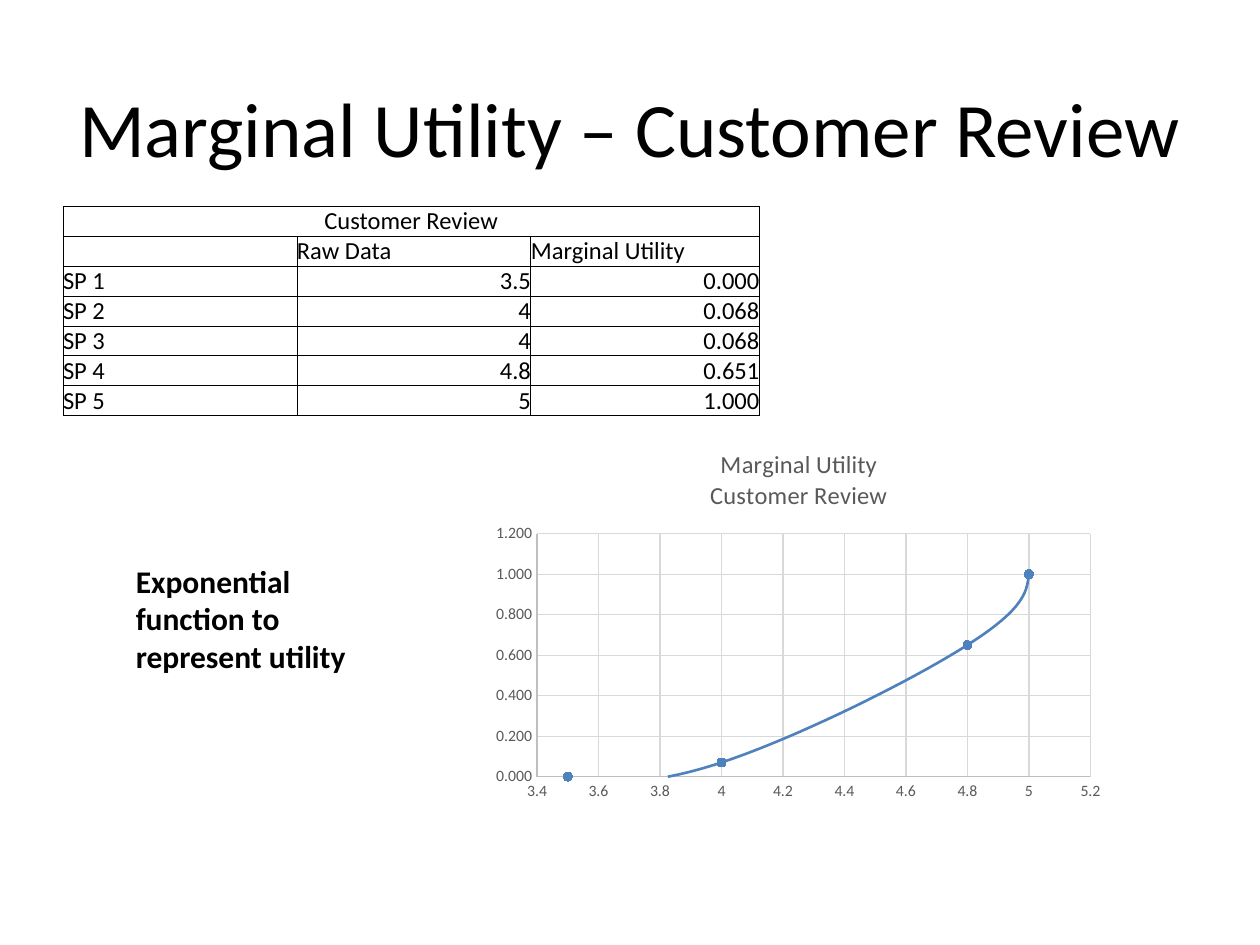
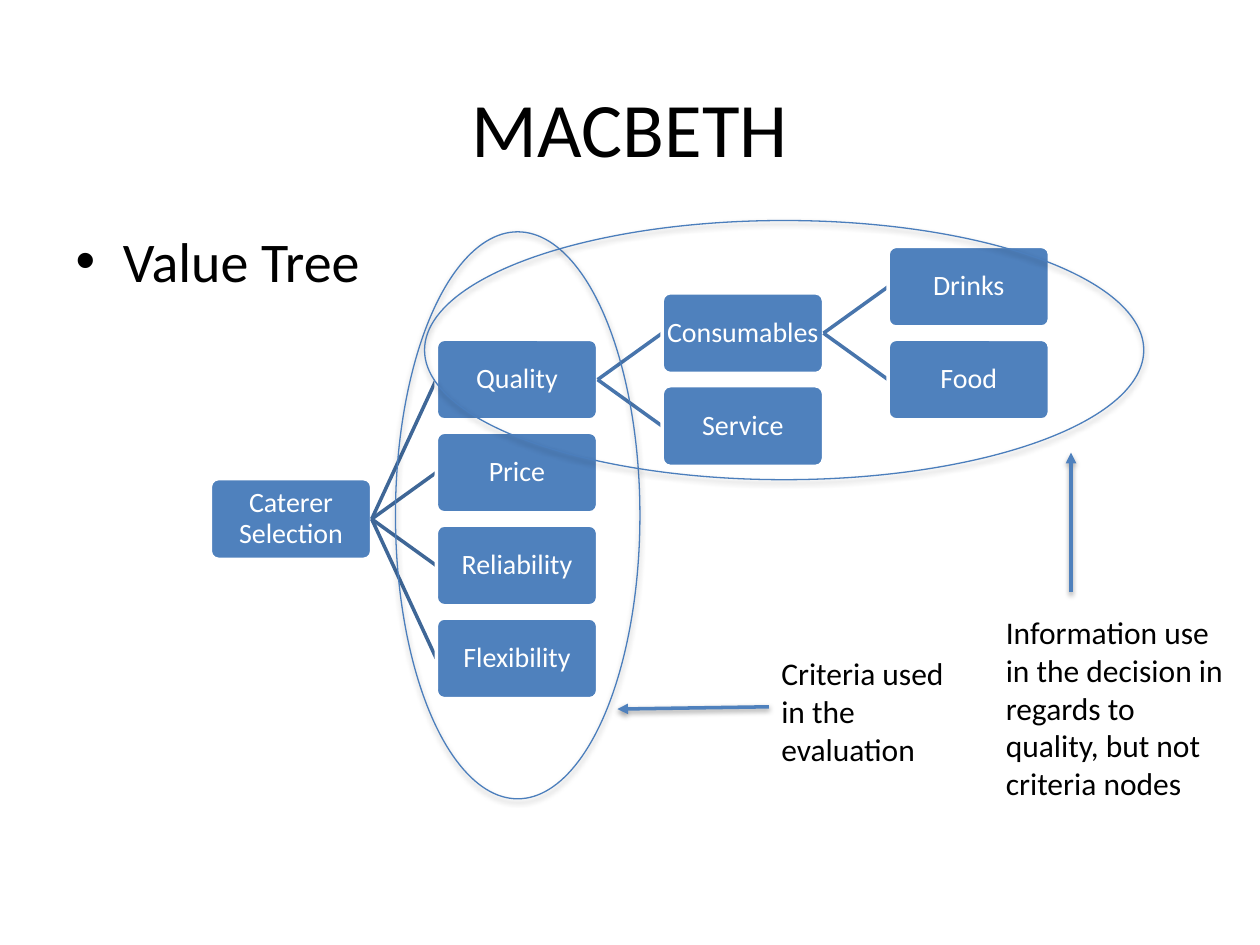
import pptx
import pptx.chart.data
import pptx.dml.color
import pptx.enum.chart
import pptx.enum.shapes
import pptx.enum.text
import pptx.oxml
import pptx.oxml.ns
import pptx.util
from lxml import etree

Pt = pptx.util.Pt
qn = pptx.oxml.ns.qn
ALIGN = pptx.enum.text.PP_ALIGN
ANCHOR = pptx.enum.text.MSO_ANCHOR
SHAPE = pptx.enum.shapes.MSO_SHAPE

FONT = "Calibri"
BLACK, WHITE, BLUE = "000000", "FFFFFF", "4F81BD"
RING_BLUE, ROOT_LINK, LINK = "4B7EBC", "3F6797", "4875AC"
GREY, AXIS_GREY, GRID_GREY = "595959", "BFBFBF", "D9D9D9"


def rgb(hex_color):
    return pptx.dml.color.RGBColor.from_string(hex_color)


def style_font(font, size, color=BLACK, bold=False):
    font.name, font.size, font.bold = FONT, Pt(size), bold
    font.color.rgb = rgb(color)


def style_line(line, color, width):
    line.color.rgb = rgb(color)
    line.width = Pt(width)


def write(frame, text, size=18, color=BLACK, bold=False, align=None,
          anchor=None, inset=None, spacing=None):
    """Fill a text frame, one paragraph for each line of text."""
    if anchor is not None:
        frame.vertical_anchor = anchor
    if inset is not None:
        frame.margin_left = frame.margin_right = Pt(inset)
        frame.margin_top = frame.margin_bottom = Pt(inset)
    for number, words in enumerate(text.split("\n")):
        paragraph = frame.add_paragraph() if number else frame.paragraphs[0]
        paragraph.alignment = align
        paragraph.line_spacing = spacing
        run = paragraph.add_run()
        run.text = words
        style_font(run.font, size, color, bold)


def set_effects(shape, opacity=None, distance=0):
    """Give a shape an empty effect list, or a soft shadow below it."""
    effects = etree.SubElement(shape._element.spPr, qn("a:effectLst"))
    if opacity:
        shadow = etree.SubElement(
            effects, qn("a:outerShdw"), blurRad=str(Pt(3.1)),
            dist=str(Pt(distance)), dir="5400000", rotWithShape="0")
        tint = etree.SubElement(shadow, qn("a:srgbClr"), val=BLACK)
        etree.SubElement(tint, qn("a:alpha"), val=str(opacity * 1000))


def set_borders(cell, color, width):
    properties = cell._tc.get_or_add_tcPr()
    for side in ("a:lnL", "a:lnR", "a:lnT", "a:lnB"):
        border = etree.SubElement(properties, qn(side), w=str(Pt(width)))
        fill = etree.SubElement(border, qn("a:solidFill"))
        etree.SubElement(fill, qn("a:srgbClr"), val=color)


def set_plot_area(chart, **fractions):
    """Place the inner plot area by fractions (x, y, w, h) of the chart."""
    plot_area = chart._chartSpace.chart.plotArea
    for old in plot_area.findall(qn("c:layout")):
        plot_area.remove(old)
    layout = etree.Element(qn("c:layout"))
    plot_area.insert(0, layout)
    manual = etree.SubElement(layout, qn("c:manualLayout"))
    settings = {"layoutTarget": "inner", "xMode": "edge", "yMode": "edge"}
    for name, value in {**settings, **fractions}.items():
        etree.SubElement(manual, qn("c:" + name), val=str(value))


class Deck:
    NODE_WIDTH, NODE_HEIGHT = 92.2, 46.1
    LEVEL_STEP, ROW_STEP = 129.1, 53.1
    ROOT_LEFT, ROOT_MIDDLE = 120.2, 296.6

    def __init__(self):
        self.presentation = pptx.Presentation()
        self.presentation.slide_width = Pt(720)
        self.presentation.slide_height = Pt(540)
        self.slide = None

    def new_slide(self, title, layout):
        layouts = self.presentation.slide_layouts
        self.slide = self.presentation.slides.add_slide(layouts.get_by_name(layout))
        self.placeholder(0, title, (36, 27.2, 648, 90), size=44,
                         align=ALIGN.CENTER, anchor=ANCHOR.MIDDLE)

    def placeholder(self, index, text, box, **style):
        holder = self.slide.placeholders[index]
        holder.left, holder.top, holder.width, holder.height = map(Pt, box)
        write(holder.text_frame, text, **style)

    def note(self, text, box, **style):
        frame = self.slide.shapes.add_textbox(*map(Pt, box)).text_frame
        frame.word_wrap = True
        frame.auto_size = pptx.enum.text.MSO_AUTO_SIZE.SHAPE_TO_FIT_TEXT
        write(frame, text, **style)

    def table(self, rows, left, top, widths, row_height):
        """Draw a ruled table whose first row is one merged heading."""
        table = self.slide.shapes.add_table(
            len(rows), len(widths), Pt(left), Pt(top),
            Pt(sum(widths)), Pt(row_height * len(rows))).table
        table.first_row = table.horz_banding = False
        for column, width in zip(table.columns, widths):
            column.width = Pt(width)
        table.cell(0, 0).merge(table.cell(0, len(widths) - 1))
        for r, row in enumerate(rows):
            table.rows[r].height = Pt(row_height)
            for c, text in enumerate(row):
                cell = table.cell(r, c)
                set_borders(cell, BLACK, 0.5)
                cell.fill.background()
                cell.margin_left = cell.margin_right = 0
                cell.margin_top = cell.margin_bottom = 0
                cell.vertical_anchor = ANCHOR.BOTTOM
                if text:
                    align = (ALIGN.CENTER if r == 0 else
                             ALIGN.RIGHT if r > 1 and c else ALIGN.LEFT)
                    write(cell.text_frame, text, size=14, align=align)
                else:
                    paragraph = cell.text_frame.paragraphs[0]._p
                    etree.SubElement(paragraph, qn("a:endParaRPr"), sz="1400")

    def curve(self, title, points, box):
        data = pptx.chart.data.XyChartData()
        series_data = data.add_series("Series 1")
        for x, y in points:
            series_data.add_data_point(x, y)
        chart = self.slide.shapes.add_chart(
            pptx.enum.chart.XL_CHART_TYPE.XY_SCATTER_SMOOTH,
            *map(Pt, box), data).chart
        chart.has_legend = False
        style_font(chart.font, 10)
        chart.has_title = True
        write(chart.chart_title.text_frame, title, size=14, color=GREY)
        chart.chart_title.include_in_layout = False
        chart.plots[0].vary_by_categories = False
        width, height = box[2:]
        set_plot_area(chart, x=30.4 / width, y=59.5 / height,
                      w=316.3 / width, h=138.9 / height)
        self.axis(chart.category_axis, 3.4, 5.2, "General")
        self.axis(chart.value_axis, 0, 1.2, "0.000")
        series = chart.plots[0].series[0]
        for smooth in series._element.findall(qn("c:smooth")):
            smooth.set("val", "1")
        style_line(series.format.line, BLUE, 1.5)
        marker = series.marker
        marker.style = pptx.enum.chart.XL_MARKER_STYLE.CIRCLE
        marker.size = 5
        marker.format.fill.solid()
        marker.format.fill.fore_color.rgb = rgb(BLUE)
        style_line(marker.format.line, BLUE, 0.75)

    def axis(self, axis, low, high, number_format):
        axis.minimum_scale, axis.maximum_scale, axis.major_unit = low, high, 0.2
        axis.major_tick_mark = pptx.enum.chart.XL_TICK_MARK.NONE
        axis.minor_tick_mark = pptx.enum.chart.XL_TICK_MARK.NONE
        axis.has_major_gridlines = True
        style_line(axis.major_gridlines.format.line, GRID_GREY, 0.75)
        style_line(axis.format.line, AXIS_GREY, 0.75)
        style_font(axis.tick_labels.font, 9, GREY)
        axis.tick_labels.number_format = number_format
        axis.tick_labels.number_format_is_linked = False

    def line(self, start, end, color):
        line = self.slide.shapes.add_connector(
            pptx.enum.shapes.MSO_CONNECTOR.STRAIGHT, *map(Pt, start + end))
        style_line(line.line, color, 2)
        return line

    def arrow(self, start, end):
        arrow = self.line(start, end, BLUE)
        etree.SubElement(arrow.line._get_or_add_ln(), qn("a:tailEnd"), type="triangle")
        set_effects(arrow, 38, 1.6)

    def ring(self, box):
        ring = self.slide.shapes.add_shape(SHAPE.OVAL, *map(Pt, box))
        ring.fill.background()
        style_line(ring.line, RING_BLUE, 0.75)
        set_effects(ring, 35, 1.8)

    def node(self, label, left, middle):
        node = self.slide.shapes.add_shape(
            SHAPE.ROUNDED_RECTANGLE, Pt(left), Pt(middle - self.NODE_HEIGHT / 2),
            Pt(self.NODE_WIDTH), Pt(self.NODE_HEIGHT))
        node.adjustments[0] = 0.1
        node.shadow.inherit = False
        node.fill.solid()
        node.fill.fore_color.rgb = rgb(BLUE)
        style_line(node.line, WHITE, 2)
        node.text_frame.word_wrap = True
        write(node.text_frame, label, size=16, color=WHITE, align=ALIGN.CENTER,
              anchor=ANCHOR.MIDDLE, inset=1, spacing=0.9)
        return node

    def tree(self, branch, level=0, parent=None, parent_middle=0):
        """Draw a branch (label, row, children) linked to its parent."""
        label, row, children = branch
        left = self.ROOT_LEFT + level * self.LEVEL_STEP
        middle = self.ROOT_MIDDLE + row * self.ROW_STEP
        if parent is not None:
            start = (left - self.LEVEL_STEP + self.NODE_WIDTH, parent_middle)
            link = self.line(start, (left, middle), ROOT_LINK if level == 1 else LINK)
            set_effects(link)
        node = self.node(label, left, middle)
        if parent is not None:
            link.begin_connect(parent, 3)
            link.end_connect(node, 1)
        for child in children:
            self.tree(child, level + 1, node, middle)


REVIEWS = [
    ("SP 1", "3.5", "0.000"),
    ("SP 2", "4", "0.068"),
    ("SP 3", "4", "0.068"),
    ("SP 4", "4.8", "0.651"),
    ("SP 5", "5", "1.000"),
]
VALUE_TREE = ("Caterer Selection", 0, [
    ("Quality", -1.5, [
        ("Consumables", -2, [("Drinks", -2.5, []), ("Food", -1.5, [])]),
        ("Service", -1, []),
    ]),
    ("Price", -0.5, []),
    ("Reliability", 0.5, []),
    ("Flexibility", 1.5, []),
])


def add_customer_review(deck):
    deck.new_slide("Marginal Utility – Customer Review", "Title Only")
    headings = [("Customer Review", "", ""), ("", "Raw Data", "Marginal Utility")]
    deck.table(headings + REVIEWS, 36, 118, (133.7, 133.7, 130.6), 16.8)
    points = [(float(raw), round(float(utility), 2)) for _, raw, utility in REVIEWS]
    deck.curve("Marginal Utility\nCustomer Review", points, (276.5, 245.5, 360, 216))
    deck.note("Exponential function to represent utility",
              (70.5, 317.4, 146, 73), bold=True)


def add_value_tree(deck):
    deck.new_slide("MACBETH", "Title and Content")
    deck.placeholder(1, "Value Tree", (36, 126, 648, 356.4), size=32)
    deck.tree(VALUE_TREE)
    deck.ring((226, 132.5, 139.7, 324))
    deck.arrow((439.4, 403.9), (352.8, 405.2))
    deck.note("Criteria used in the evaluation", (439.4, 370.2, 119, 73))
    deck.ring((242.6, 126, 411, 148.1))
    deck.arrow((612, 338.4), (612, 258.7))
    deck.note("Information use in the decision in regards to quality, "
              "but not criteria nodes", (567.7, 346.8, 139, 116.6))


def main():
    deck = Deck()
    add_customer_review(deck)
    add_value_tree(deck)
    deck.presentation.save("out.pptx")


if __name__ == "__main__":
    main()
